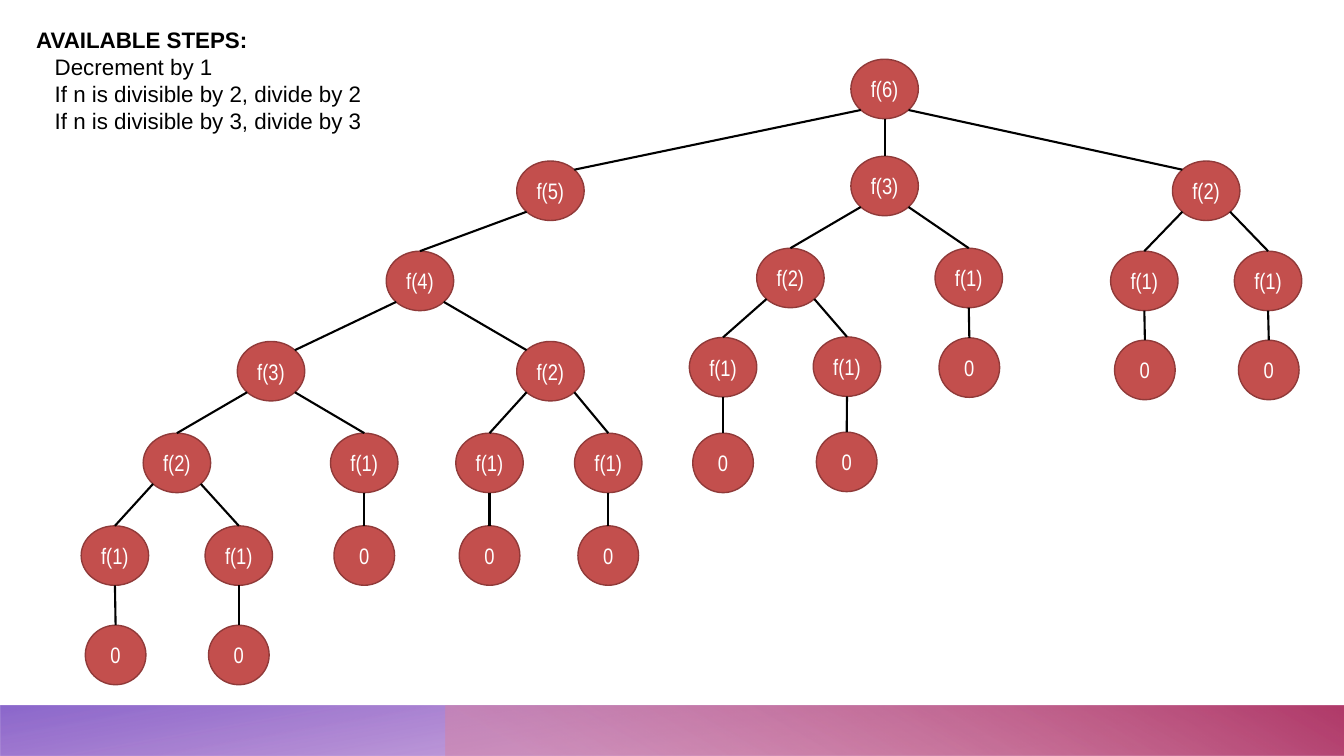
from pptx import Presentation
from pptx.dml.color import RGBColor
from pptx.enum.shapes import MSO_CONNECTOR as LINK, MSO_SHAPE as SHAPE
from pptx.enum.text import MSO_ANCHOR as ANCHOR, PP_ALIGN as ALIGN
from pptx.oxml.ns import qn
from pptx.oxml.xmlchemy import OxmlElement as Element
from pptx.util import Pt

BLACK = RGBColor(0x00, 0x00, 0x00)
WHITE = RGBColor(0xFF, 0xFF, 0xFF)
RED = RGBColor(0xC3, 0x4F, 0x4D)
DARK_RED = RGBColor(0x90, 0x3A, 0x39)
PLUM = RGBColor(0x96, 0x3B, 0xB1)
VIOLET = RGBColor(0x77, 0x4D, 0xC3)
PINK = RGBColor(0xD6, 0x84, 0xA4)
CRIMSON = RGBColor(0xB1, 0x3B, 0x6A)

CALL_WIDTH, ZERO_WIDTH, HEIGHT = 48.2, 43.3, 42.5
DIAGONAL = 0.3536  # offset of the 45° point of an ellipse, as a share of its size


def set_format(target, values):
    for name, value in values.items():
        setattr(target, name, value)


deck = Presentation()
deck.slide_width, deck.slide_height = Pt(960), Pt(540)
page = deck.slides.add_slide(deck.slide_layouts[6])

# Footer bands: left, width, rotation, angle, stops (position, colour, opacity %)
bands = [
    (0, 960, 180, 100, [(0.14, PLUM, 28), (1, VIOLET, 85)]),
    (318, 642, 0, 240, [(0.09, PINK, 55), (0.99, CRIMSON, 100)]),
]
for left, width, rotation, angle, stops in bands:
    band = page.shapes.add_shape(SHAPE.RECTANGLE, Pt(left), Pt(504), Pt(width), Pt(36))
    band.shadow.inherit = False
    band.line.fill.background()
    band.rotation = rotation
    band._element.spPr.find(qn("a:xfrm")).set("flipH", "1")
    band.fill.gradient()
    band.fill.gradient_angle = 360 - angle
    for stop, (position, colour, _) in zip(band.fill.gradient_stops, stops):
        stop.position = position
        stop.color.rgb = colour
    for colour, (_, _, opacity) in zip(band._element.spPr.iter(qn("a:srgbClr")), stops):
        alpha = Element("a:alpha")
        alpha.set("val", str(opacity * 1000))
        colour.append(alpha)

# Available steps
steps = [
    "AVAILABLE STEPS:",
    "Decrement by 1",
    "If n is divisible by 2, divide by 2",
    "If n is divisible by 3, divide by 3",
]
box = page.shapes.add_textbox(Pt(18.7), Pt(15.1), Pt(250), Pt(106.5))
box.text_frame.word_wrap = True
for number, step in enumerate(steps):
    para = box.text_frame.paragraphs[0] if number == 0 else box.text_frame.add_paragraph()
    if number:
        para._p.get_or_add_pPr().set("marL", str(Pt(13.3)))
    span = para.add_run()
    span.text = step
    set_format(span.font, {"size": Pt(16), "name": "Arial", "bold": number == 0})
    span.font.color.rgb = BLACK

# Recursion tree in preorder: depth, label, centre x, top, where the link arrives
TOP, CORNER = 0, 1
calls = [
    (0, "f(6)", 631.9, 42.3, TOP),
    (1, "f(5)", 393.2, 115, CORNER),
    (2, "f(4)", 300, 179.4, TOP),
    (3, "f(3)", 193.6, 243.9, CORNER),
    (4, "f(2)", 126.4, 309.4, TOP),
    (5, "f(1)", 82.1, 375.6, TOP),
    (6, "0", 82.6, 446.6, TOP),
    (5, "f(1)", 170.6, 375.6, TOP),
    (6, "0", 170.6, 446.6, TOP),
    (4, "f(1)", 260.2, 309.4, TOP),
    (5, "0", 260.2, 375.6, TOP),
    (3, "f(2)", 393.2, 243.9, CORNER),
    (4, "f(1)", 349.7, 309.4, TOP),
    (5, "0", 349.7, 375.6, TOP),
    (4, "f(1)", 434.5, 309.4, TOP),
    (5, "0", 434.5, 375.6, TOP),
    (1, "f(3)", 631.9, 111.6, TOP),
    (2, "f(2)", 564.6, 177.3, TOP),
    (3, "f(1)", 516.5, 241, TOP),
    (4, "0", 516.5, 309.4, TOP),
    (3, "f(1)", 605, 240.6, TOP),
    (4, "0", 604.8, 308.7, TOP),
    (2, "f(1)", 692, 177.3, TOP),
    (3, "0", 692.4, 241.3, TOP),
    (1, "f(2)", 861.6, 115, CORNER),
    (2, "f(1)", 817.4, 179.4, TOP),
    (3, "0", 817.8, 243, TOP),
    (2, "f(1)", 905.8, 179.4, TOP),
    (3, "0", 906.3, 243, TOP),
]
ancestors = {}
for depth, label, centre, top, arrival in calls:
    width = ZERO_WIDTH if label == "0" else CALL_WIDTH
    node = page.shapes.add_shape(
        SHAPE.OVAL, Pt(centre - width / 2), Pt(top), Pt(width), Pt(HEIGHT))
    node.shadow.inherit = False
    node.fill.solid()
    node.fill.fore_color.rgb = RED
    node.line.color.rgb = DARK_RED
    node.line.width = Pt(1)
    set_format(node.text_frame, {
        "word_wrap": False, "vertical_anchor": ANCHOR.MIDDLE,
        "margin_left": 0, "margin_right": 0, "margin_top": 0, "margin_bottom": 0})
    para = node.text_frame.paragraphs[0]
    para.alignment = ALIGN.CENTER
    span = para.add_run()
    span.text = label
    set_format(span.font, {"size": Pt(16), "name": "Arial Narrow"})
    span.font.color.rgb = WHITE

    # Link from the calling node: bottom if straight below, else a lower diagonal
    ancestors[depth] = (centre, top)
    if depth == 0:
        continue
    parent_centre, parent_top = ancestors[depth - 1]
    shift = centre - parent_centre
    side = 0 if abs(shift) < 1 else (1 if shift > 0 else -1)
    start_x = parent_centre + side * DIAGONAL * CALL_WIDTH
    start_y = parent_top + HEIGHT * (0.5 + DIAGONAL if side else 1)
    end_x = centre - arrival * side * DIAGONAL * CALL_WIDTH
    end_y = top + arrival * HEIGHT * (0.5 - DIAGONAL)
    link = page.shapes.add_connector(
        LINK.STRAIGHT, Pt(start_x), Pt(start_y), Pt(end_x), Pt(end_y))
    link.line.color.rgb = BLACK
    link.line.width = Pt(1.5)
    link._element.spPr.append(Element("a:effectLst"))
    if arrival == TOP:
        link.end_connect(node, 0)

deck.save("out.pptx")
